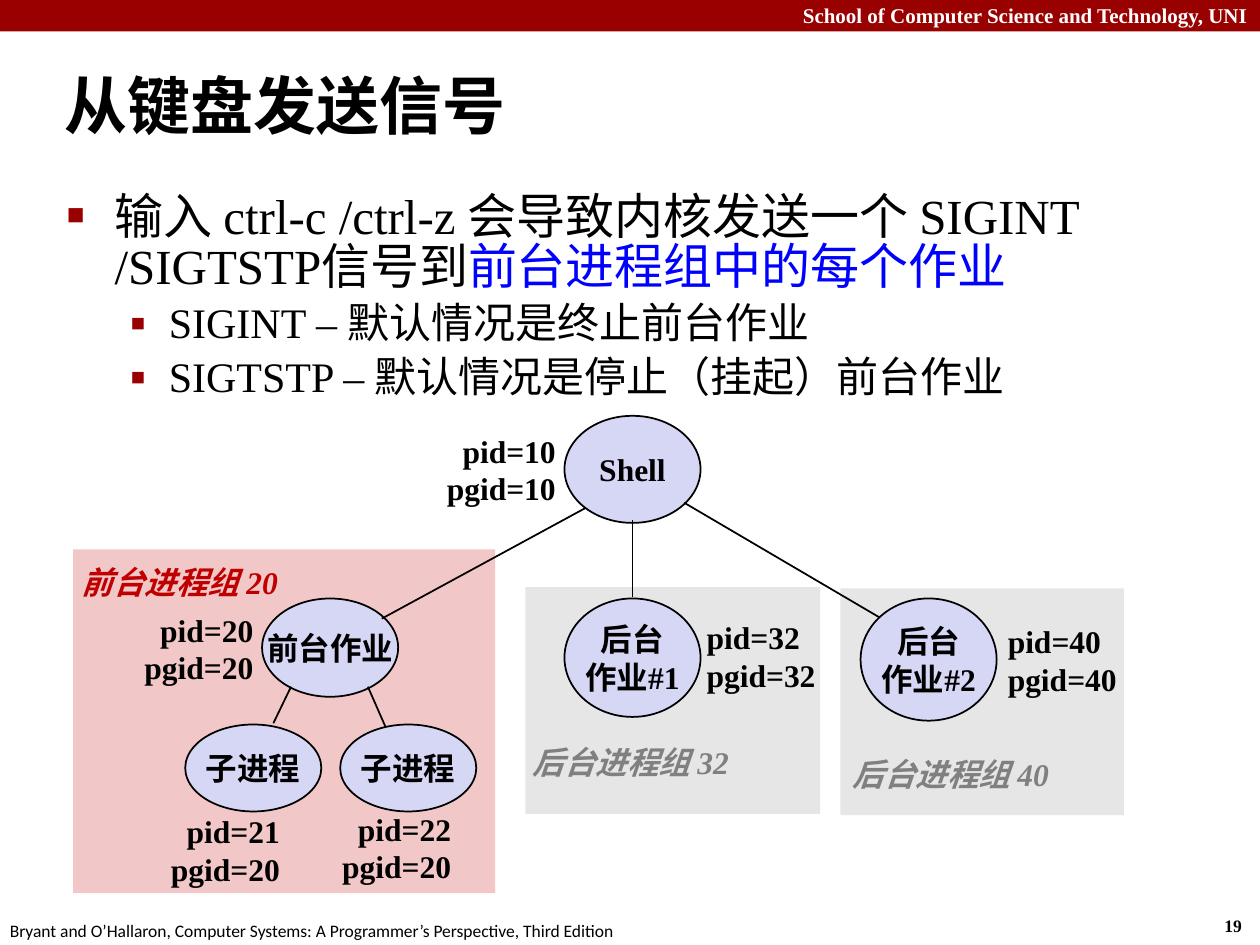
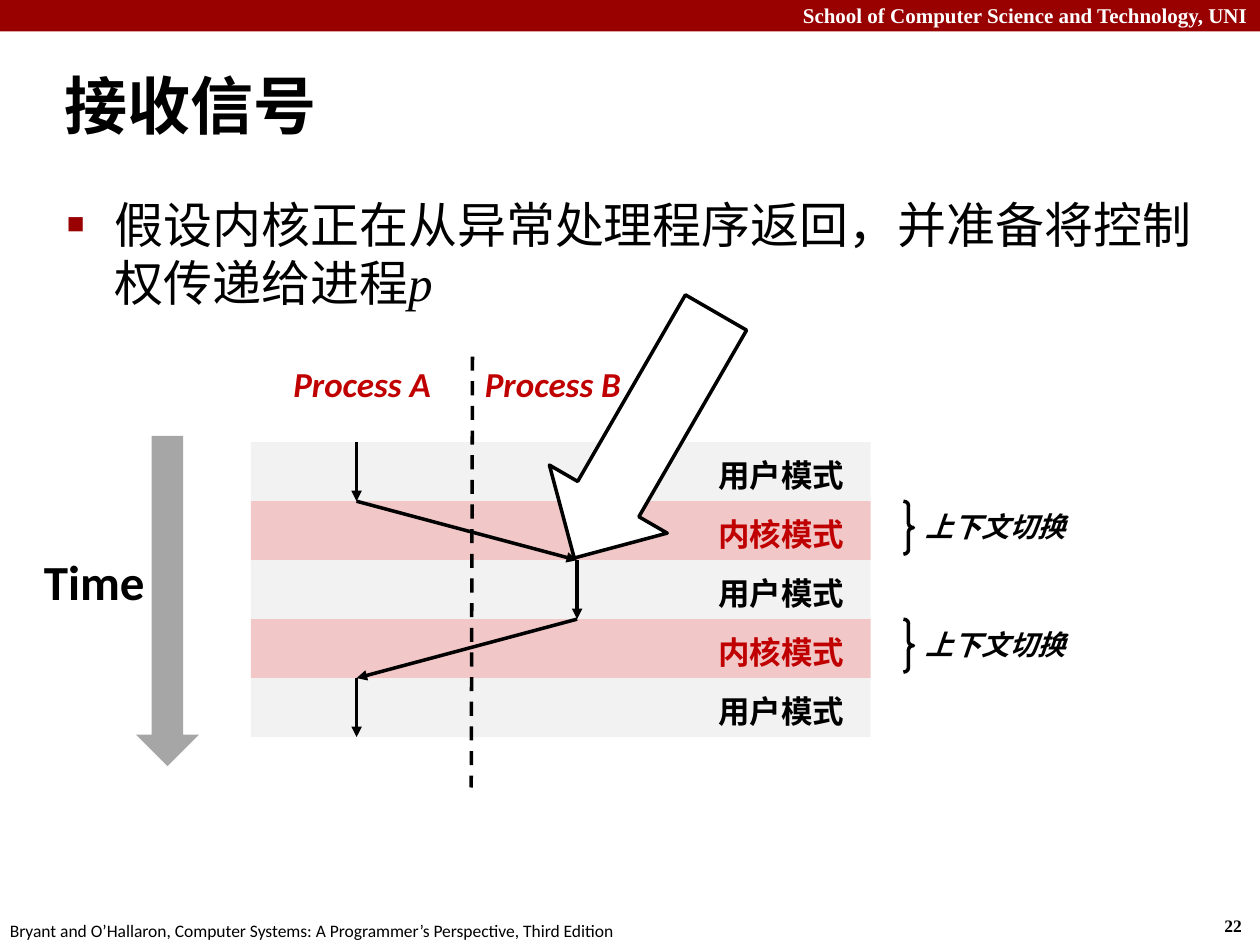
from itertools import pairwise
from lxml.etree import SubElement
from pptx import Presentation
from pptx.dml.color import RGBColor
from pptx.enum.dml import MSO_LINE
from pptx.enum.shapes import MSO_CONNECTOR, MSO_SHAPE
from pptx.enum.text import MSO_ANCHOR, MSO_AUTO_SIZE, PP_ALIGN
from pptx.oxml.ns import qn
from pptx.util import Inches, Pt

# Colours and fonts
BLACK = RGBColor(0x00, 0x00, 0x00)
WHITE = RGBColor(0xFF, 0xFF, 0xFF)
BAND = RGBColor(0x99, 0x00, 0x00)
RED = RGBColor(0xC0, 0x00, 0x00)
BLUE = RGBColor(0x00, 0x00, 0xFF)
ROSE = RGBColor(0xF1, 0xC7, 0xC7)
LILAC = RGBColor(0xD6, 0xD6, 0xF5)
PALE = RGBColor(0xF2, 0xF2, 0xF2)
SILVER = RGBColor(0xE6, 0xE6, 0xE6)
GREY = RGBColor(0x80, 0x80, 0x80)
STEEL = RGBColor(0xA6, 0xA6, 0xA6)
SERIF, SANS = "Times New Roman", "Calibri"

# The grid: 100 columns by 75 rows on a slide of 10 by 7.5 inches
COLS, ROWS = 100, 75
CELL = Inches(0.1)
PAGE = (0, 0, COLS, ROWS)


def cells(*sizes):
    return [round(size * CELL) for size in sizes]


def inside(box, x, y, w, h):
    """Place a part relative to the corner of its box."""
    return box[0] + x, box[1] + y, w, h


def style(runs, size, font=SERIF, color=BLACK, bold=False, slant=False):
    for run in runs:
        run.font.size = Pt(size)
        run.font.name = font
        run.font.color.rgb = color
        run.font.bold = bold
        run.font.italic = slant


def write(shape, text, size, align=PP_ALIGN.LEFT, wrap=False,
          anchor=MSO_ANCHOR.TOP, **look):
    frame = shape.text_frame
    frame.text = text
    frame.word_wrap = wrap
    frame.vertical_anchor = anchor
    for para in frame.paragraphs:
        para.alignment = align
        style(para.runs, size, **look)


def label(slide, box, text, size, **look):
    shape = slide.shapes.add_textbox(*cells(*box))
    write(shape, text, size, **look)
    return shape


def draw(slide, kind, box, fill=None, width=0):
    shape = slide.shapes.add_shape(kind, *cells(*box))
    shape.shadow.inherit = False
    if fill is None:
        shape.fill.background()
    else:
        shape.fill.solid()
        shape.fill.fore_color.rgb = fill
    if width:
        shape.line.color.rgb = BLACK
        shape.line.width = Pt(width)
    else:
        shape.line.fill.background()
    return shape


def link(slide, box, start, end, width=1, arrow=False):
    ends = [box[0] + start[0], box[1] + start[1],
            box[0] + end[0], box[1] + end[1]]
    line = slide.shapes.add_connector(MSO_CONNECTOR.STRAIGHT, *cells(*ends))
    line.line.color.rgb = BLACK
    line.line.width = Pt(width)
    if arrow:
        SubElement(line.line._get_or_add_ln(), qn("a:tailEnd"), type="triangle")
    SubElement(line.element.spPr, qn("a:effectLst"))
    return line


def indent(para, left, first):
    props = para._p.get_or_add_pPr()
    props.set("marL", str(Inches(left)))
    props.set("indent", str(Inches(first)))
    return props


def bullet(para, level):
    left, first, sign, share = [(0.38, -0.38, "■", 60),
                                (0.81, -0.31, "▪", 110)][level]
    para.level = level
    props = indent(para, left, first)
    tint = SubElement(props, qn("a:buClr"))
    SubElement(tint, qn("a:srgbClr"), val=str(BAND))
    SubElement(props, qn("a:buSzPct"), val=str(share * 1000))
    SubElement(props, qn("a:buChar"), char=sign)


# Shared frame: the band and footer are moved to the layout
def frame_page(layout, slide):
    band = draw(slide, MSO_SHAPE.RECTANGLE, (0, 0, COLS, 2.5), BAND)
    school = label(slide, (0, -0.3, COLS, 3),
                   "School of Computer Science and Technology, UNI", 12,
                   align=PP_ALIGN.RIGHT, wrap=True, color=WHITE, bold=True)
    book = label(slide, (-0.2, 72.5, 50.8, 2.7),
                 "Bryant and O’Hallaron, Computer Systems: "
                 "A Programmer’s Perspective, Third Edition", 10, font=SANS)
    for shape in (band, school, book):
        layout.shapes.element.append(shape.element)


def set_title(slide, box, text):
    title = slide.shapes.title
    title.left, title.top, title.width, title.height = cells(*box)
    write(title, text, 36, wrap=True, anchor=MSO_ANCHOR.MIDDLE,
          font=SANS, bold=True)
    title.text_frame.auto_size = MSO_AUTO_SIZE.NONE
    indent(title.text_frame.paragraphs[0], 0.13, -0.13)


def set_list(slide, box, items):
    """Each item: level, line spacing and runs of (text, look)."""
    body = slide.placeholders[1]
    body.left, body.top, body.width, body.height = cells(*box)
    frame = body.text_frame
    frame.auto_size = MSO_AUTO_SIZE.NONE
    for spot, (level, space, parts) in enumerate(items):
        para = frame.add_paragraph() if spot else frame.paragraphs[0]
        para.line_spacing = space
        bullet(para, level)
        for text, look in parts:
            run = para.add_run()
            run.text = text
            style([run], 24 if level else 28, **look)


def new_page(deck, number, title, items):
    slide = deck.slides.add_slide(deck.slide_layouts[1])
    set_list(slide, inside(PAGE, 4.3, 14.9, 94, 57.6), items)
    set_title(slide, inside(PAGE, 4.1, 4.1, 95.1, 8.3), title)
    label(slide, inside(PAGE, 96.2, 72.1, 3.7, 2.7), str(number), 10, bold=True)
    return slide


# Process tree
def draw_tree(slide, box):
    groups = [  # panel, fill, caption place, caption, colour
        ((61.2, 13.7, 22.5, 18), SILVER, (61.2, 26.4), "后台进程组 40", GREY),
        ((36.2, 13.6, 23.4, 18), SILVER, (35.8, 25.5), "后台进程组 32", GREY),
        ((0.3, 10.6, 33.5, 27.3), ROSE, (0, 11.2), "前台进程组 20", RED),
    ]
    nodes = [  # oval, name, label place, pid, pgid, label side
        ((39.3, 0, 10.8, 8.5), "Shell", (28.6, 0.7), 10, 10, PP_ALIGN.RIGHT),
        ((15.3, 14.5, 10.8, 7.8), "前台作业", (4.6, 14.9), 20, 20, PP_ALIGN.RIGHT),
        ((39.3, 14.5, 10.8, 9.4), "后台\v作业#1", (49.6, 15.5), 32, 32, PP_ALIGN.LEFT),
        ((62.8, 14.5, 10.8, 9.7), "后台\v作业#2", (73.5, 15.8), 40, 40, PP_ALIGN.LEFT),
        ((9.2, 24.5, 10.8, 6.9), "子进程", (6.7, 30.9), 21, 20, PP_ALIGN.RIGHT),
        ((21.5, 24.5, 10.8, 6.9), "子进程", (20.3, 30.7), 22, 20, PP_ALIGN.RIGHT),
    ]
    edges = [((17.6, 21.5), (16.2, 24.4)), ((23.7, 21.5), (25.1, 24.7)),
             ((44.7, 8.3), (44.7, 14.4)), ((41, 7.3), (24.8, 16.1)),
             ((48.8, 6.9), (64.3, 16))]

    for panel, fill, *_ in groups:
        draw(slide, MSO_SHAPE.RECTANGLE, inside(box, *panel), fill)
    for oval, name, *_ in nodes:
        shape = draw(slide, MSO_SHAPE.OVAL, inside(box, *oval), LILAC, 1)
        write(shape, name, 18, align=PP_ALIGN.CENTER,
              anchor=MSO_ANCHOR.MIDDLE, bold=True)
    for start, end in edges:
        link(slide, box, start, end)
    for _, _, place, text, color in groups:
        label(slide, inside(box, *place, 18.6, 4), text, 18,
              anchor=MSO_ANCHOR.MIDDLE, color=color, bold=True, slant=True)
    for _, _, place, pid, group, side in nodes:
        label(slide, inside(box, *place, 11, 7.1), f"pid={pid}\npgid={group}",
              18, align=side, anchor=MSO_ANCHOR.MIDDLE, bold=True)


# Context switches over time
def draw_time(slide, box):
    top, step = 12.1, 4.68
    left, right = 25.8, 43.3
    levels = [top + step * row for row in range(6)]

    # Mode stripes
    for row, level in enumerate(levels[:5]):
        draw(slide, MSO_SHAPE.RECTANGLE, inside(box, 17.4, level, 49.2, step),
             ROSE if row % 2 else PALE)
    for row, level in enumerate(levels[:5]):
        kernel = row % 2 == 1
        label(slide, inside(box, 53.5, level + 0.6, 12.2, 4),
              "内核模式" if kernel else "用户模式", 18, font=SANS,
              color=RED if kernel else BLACK, bold=True)
        if kernel:
            brace = draw(slide, MSO_SHAPE.RIGHT_BRACE,
                         inside(box, 69.2, level, 0.8, 4.2), width=2)
            brace.adjustments[0] = 0.417
            label(slide, inside(box, 70, level + 0.2, 13.3, 3.7), "上下文切换",
                  16, font=SANS, bold=True, slant=True)

    # Process names and the line between them
    for x, name in ((19.8, "Process A"), (35, "Process B")):
        label(slide, inside(box, x, 5.3, 13, 4.4), name, 20, font=SANS,
              color=RED, bold=True, slant=True)
    split = link(slide, box, (35, 5.3), (34.9, 39.5), 2)
    split.line.dash_style = MSO_LINE.DASH

    # Flow of control
    sides = [left, left, right, right, left, left]
    for start, end in pairwise(zip(sides, levels)):
        link(slide, box, start, end, 2, arrow=True)

    # Time axis
    label(slide, inside(box, 0, 20.3, 10.1, 5.7), "Time", 28, font=SANS, bold=True)
    axis = draw(slide, MSO_SHAPE.DOWN_ARROW, inside(box, 8.3, 11.6, 5, 26.2), STEEL)
    axis.adjustments[0] = 0.5

    # Pointer to the moment of return
    point = draw(slide, MSO_SHAPE.DOWN_ARROW,
                 inside(box, 43.3, 0.3, 10.8, 22.5), WHITE, 2)
    point.adjustments[0] = 0.519
    point.rotation = 30


deck = Presentation()
deck.slide_width, deck.slide_height = cells(COLS, ROWS)

send = new_page(deck, 19, "从键盘发送信号", [
    (0, 0.85, [("输入 ctrl-c /ctrl-z 会导致内核发送一个 SIGINT /SIGTSTP信号到", {}),
               ("前台进程组中的每个作业", {"color": BLUE})]),
    (1, 0.9, [("SIGINT – 默认情况是终止前台作业", {})]),
    (1, 0.9, [("SIGTSTP – 默认情况是停止（挂起）前台作业", {})]),
])
frame_page(deck.slide_layouts[1], send)
draw_tree(send, (5.5, 33, 84, 38))

catch = new_page(deck, 22, "接收信号", [
    (0, 1.0, [("假设内核正在从异常处理程序返回，并准备将控制权传递给进程", {}),
              ("p", {"slant": True})]),
])
draw_time(catch, (2.5, 23, 84, 40))

deck.save("out.pptx")
